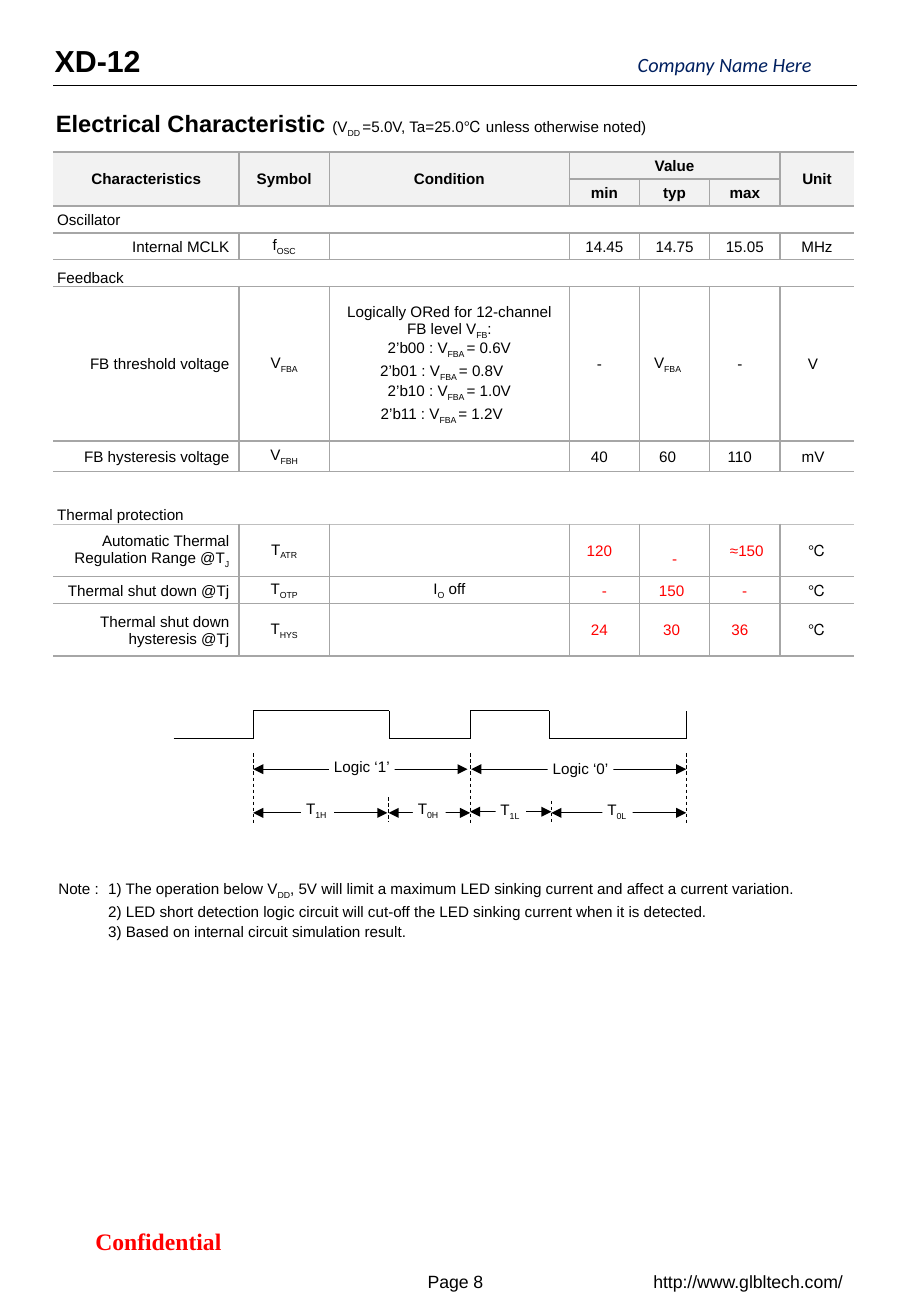
import itertools
from dataclasses import dataclass
from typing import Any

import pptx
import pptx.dml.color
import pptx.enum.dml
import pptx.enum.shapes
import pptx.enum.text
import pptx.oxml
import pptx.oxml.ns
import pptx.util

Pt = pptx.util.Pt
ALIGN = pptx.enum.text.PP_ALIGN
ANCHOR = pptx.enum.text.MSO_ANCHOR
FIT = pptx.enum.text.MSO_AUTO_SIZE
WIDTH, HEIGHT = pptx.util.Inches(7.5), pptx.util.Inches(10.83)
BLACK, RED, GREY, PALE = "000000", "FF0000", "A6A6A6", "BFBFBF"
NS = pptx.oxml.ns.nsdecls("a")


@dataclass
class Row:
    """One table row: height, label, symbol, condition, four values and their sideways shifts."""
    height: float
    label: str
    symbol: str = ""
    note: str = ""
    values: tuple[str, ...] = ("", "", "", "")
    shifts: tuple[float, ...] = (0, 0, 0, 0)
    color: str = BLACK


@dataclass
class Box:
    left: float
    top: float
    width: float
    height: float
    text: str
    size: float = 9
    color: str = BLACK
    face: str = "Arial"
    bold: bool = False
    italic: bool = False
    align: Any = ALIGN.LEFT
    anchor: Any = ANCHOR.TOP
    inset: tuple[float, ...] = (0.1, 0.05, 0.1, 0.05)
    wrap: bool = True
    fit: Any = FIT.SHAPE_TO_FIT_TEXT
    fill: str = ""


def col(share: float) -> int:
    """Percent of the slide's width."""
    return round(WIDTH * share / 100)


def row(share: float) -> int:
    """Percent of the slide's height."""
    return round(HEIGHT * share / 100)


def hue(code: str) -> pptx.dml.color.RGBColor:
    return pptx.dml.color.RGBColor.from_string(code)


def put(item: Any, style: dict[str, Any]) -> None:
    for name, value in style.items():
        setattr(item, name, value)


def pad(item: Any, inset: tuple[float, ...]) -> None:
    sides = ("left", "top", "right", "bottom")
    put(item, {f"margin_{s}": pptx.util.Inches(n) for s, n in zip(sides, inset)})


def write(para: Any, text: str, size: float = 9, color: str = BLACK, face: str = "Arial",
          bold: bool = False, italic: bool = False) -> None:
    """Add text to a paragraph; parts between tildes are subscripts."""
    for index, part in enumerate(text.split("~")):
        if part:
            run = para.add_run()
            run.text = part
            put(run.font, {"size": Pt(size), "name": face, "bold": bold, "italic": italic})
            run.font.color.rgb = hue(color)
            if index % 2:
                run._r.get_or_add_rPr().set("baseline", "-25000")


def fill_text(frame: Any, text: str, align: Any, **style: Any) -> None:
    for index, line in enumerate(text.split("\n")):
        para = frame.add_paragraph() if index else frame.paragraphs[0]
        para.alignment = align
        write(para, line, **style)


def draw_box(slide: Any, box: Box) -> Any:
    area = col(box.left), row(box.top), col(box.width), row(box.height)
    if box.fill:
        shape = slide.shapes.add_shape(pptx.enum.shapes.MSO_SHAPE.RECTANGLE, *area)
        shape.shadow.inherit = False
        shape.fill.solid()
        shape.fill.fore_color.rgb = hue(box.fill)
        shape.line.fill.background()
    else:
        shape = slide.shapes.add_textbox(*area)
    frame = shape.text_frame
    put(frame, {"word_wrap": box.wrap, "auto_size": box.fit, "vertical_anchor": box.anchor})
    pad(frame, box.inset)
    fill_text(frame, box.text, box.align, size=box.size, color=box.color, face=box.face,
              bold=box.bold, italic=box.italic)
    return shape


def draw_line(slide: Any, start: tuple[float, float], end: tuple[float, float],
              dashed: bool = False, heads: bool = False) -> None:
    line = slide.shapes.add_connector(pptx.enum.shapes.MSO_CONNECTOR.STRAIGHT,
                                      col(start[0]), row(start[1]), col(end[0]), row(end[1]))
    line.line.color.rgb = hue(BLACK)
    line.line.width = Pt(0.5)
    if dashed:
        line.line.dash_style = pptx.enum.dml.MSO_LINE.DASH
    if heads:
        for tag in ("headEnd", "tailEnd"):
            line.line._get_or_add_ln().append(pptx.oxml.parse_xml(f'<a:{tag} {NS} type="triangle"/>'))
    line._element.spPr.append(pptx.oxml.parse_xml(f"<a:effectLst {NS}/>"))


def edge(cell: Any, colors: dict[str, str]) -> None:
    """Set cell borders by side; an empty colour hides the side."""
    props = cell._tc.get_or_add_tcPr()
    for index, (side, color) in enumerate(colors.items()):
        paint = f'<a:solidFill><a:srgbClr val="{color}"/></a:solidFill>' if color else "<a:noFill/>"
        props.insert(index, pptx.oxml.parse_xml(f'<a:ln{side} {NS} w="12700">{paint}</a:ln{side}>'))


LOGIC = ("Logically ORed for 12-channel\nFB level V~FB~:\n2’b00 : V~FBA ~= 0.6V\n"
         "2’b01 : V~FBA ~= 0.8V　\n2’b10 : V~FBA ~= 1.0V\n2’b11 : V~FBA ~= 1.2V　")
ONE, TWO = 2.05, 3.99
COLS = (20.36, 9.93, 26.34, 7.71, 7.71, 7.71, 8.15)
BANDS, SPANS, PALEROW = (2, 4, 7), (4, 7), 7
ROWS = [
    Row(ONE, "Characteristics", "Symbol", "Condition", ("Value", "", "", "Unit")),
    Row(ONE, "", values=("min", "typ", "max", "")),
    Row(ONE, "Oscillator"),
    Row(ONE, "Internal MCLK", "f~OSC~", "", ("14.45", "14.75", "15.05", "MHz")),
    Row(ONE, "Feedback"),
    Row(11.72, "FB threshold voltage", "V~FBA~", LOGIC, ("-", "V~FBA~", "-", "V"),
        (-0.55, -0.77, -0.55, -0.44)),
    Row(2.35, "FB hysteresis voltage", "V~FBH~", "", ("40", "60", "110", "mV"),
        (-0.55, -0.77, -0.55, -0.44)),
    Row(TWO, "Thermal protection"),
    Row(TWO, "Automatic Thermal\nRegulation Range @T~J~", "T~ATR~", "", ("120", "-", "≈150", "℃"),
        (-0.55, 0, 0.22, 0), RED),
    Row(ONE, "Thermal shut down @Tj", "T~OTP~", "I~O~ off", ("-", "150", "-", "℃"),
        (0, -0.33, 0, 0), RED),
    Row(TWO, "Thermal shut down\nhysteresis @Tj", "T~HYS~", "", ("24", "30", "36", "℃"),
        (-0.55, -0.33, -0.55, 0), RED),
]


def draw_table(slide: Any) -> None:
    table = slide.shapes.add_table(len(ROWS), len(COLS), col(5.87), row(11.55), col(sum(COLS)),
                                   row(sum(r.height for r in ROWS))).table
    put(table, {"first_row": False, "horz_banding": False})
    for item, share in zip(table.columns, COLS):
        item.width = col(share)
    for y, line in enumerate(ROWS):
        table.rows[y].height = row(line.height)
        texts = (line.label, line.symbol, line.note, *line.values)
        for x, (text, shift) in enumerate(zip(texts, (0, 0, 0, *line.shifts))):
            cell, head = table.cell(y, x), y < 2
            side = not head and x == 0
            pad(cell, (0.03 if side else 0.01, 0.01, 0.08 if side else 0.01, 0))
            if shift:
                cell.margin_left, cell.margin_right = col(max(2 * shift, 0)), col(max(-2 * shift, 0))
            cell.vertical_anchor = ANCHOR.BOTTOM if y in SPANS else ANCHOR.MIDDLE
            if head:
                cell.fill.solid()
                cell.fill.fore_color.rgb = hue("F2F2F2")
            else:
                cell.fill.background()
            align = ALIGN.CENTER if not side else ALIGN.LEFT if y in BANDS else ALIGN.RIGHT
            fill_text(cell.text_frame, text, align, bold=head,
                      color=line.color if 3 <= x < 6 else BLACK)
            if not text:
                cell.text_frame.paragraphs[0]._p.append(
                    pptx.oxml.parse_xml(f'<a:endParaRPr {NS} sz="900"/>'))
            inner = "" if y in BANDS else GREY
            edge(cell, {"L": inner if x else "", "R": inner if x < len(COLS) - 1 else "",
                        "T": PALE if y == PALEROW + 1 else GREY, "B": PALE if y == PALEROW else GREY})
    table.cell(8, 4).margin_top = row(1.3)
    for x in (0, 1, 2, 6):
        table.cell(0, x).merge(table.cell(1, x))
    table.cell(0, 3).merge(table.cell(0, 5))
    for y in SPANS:
        table.cell(y, 0).merge(table.cell(y, 6))


def draw_wave(slide: Any) -> None:
    start, rise, fall, mid, drop, end = 19.07, 27.8, 42.75, 51.6, 60.3, 75.33
    high, low = 54.02, 56.14
    path = [(start, low), (rise, low), (rise, high), (fall, high), (fall, low), (mid, low),
            (mid, high), (drop, high), (drop, low), (end, low), (end, high)]
    for one, two in itertools.pairwise(path):
        draw_line(slide, one, two)
    for x, top, foot in ((rise, 57.25, 62.7), (mid, 57.25, 62.7), (end, 57.25, 62.7),
                         (42.67, 60.57, 62.42), (60.53, 60.85, 62.6)):
        draw_line(slide, (x, top), (x, foot), dashed=True)
    for left, right, y in ((rise, 51.33, 58.45), (51.73, end, 58.45), (rise, 42.53, 61.77),
                           (42.67, mid, 61.77), (mid, 60.53, 61.68), (60.53, end, 61.77)):
        draw_line(slide, (right, y), (left, y), heads=True)
    for left, top, width, text in ((36.13, 57.16, 7.2, "Logic ‘1’"), (60.13, 57.34, 7.2, "Logic ‘0’"),
                                   (33.07, 60.48, 3.6, "T~1H~"), (45.33, 60.48, 3.6, "T~0H~"),
                                   (54.4, 60.57, 3.33, "T~1L~"), (66.13, 60.57, 3.33, "T~0L~")):
        draw_box(slide, Box(left, top, width, 2.12, text, anchor=ANCHOR.MIDDLE, wrap=False,
                            inset=(0.04,) * 4, fill="FFFFFF"))


def draw_notes(slide: Any) -> None:
    text = ("Note :\t1) The operation below V~DD~, 5V will limit a maximum LED sinking current and "
            "affect a current variation.\n2) LED short detection logic circuit will cut-off the LED "
            "sinking current when it is detected.\n3) Based on internal circuit simulation result.")
    notes = draw_box(slide, Box(5.87, 66.76, 88.13, 4.62, text, inset=(0, 0.01, 0, 0)))
    for index, para in enumerate(notes.text_frame.paragraphs):
        props = para._p.get_or_add_pPr()
        props.set("marL", str(col(6)))
        props.set("indent", str(0 if index else -col(5.47)))
        if index:
            para.space_before = Pt(1)


def main() -> None:
    deck = pptx.Presentation()
    put(deck, {"slide_width": WIDTH, "slide_height": HEIGHT})
    slide = deck.slides.add_slide(deck.slide_layouts[6])
    foot = {"align": ALIGN.CENTER, "anchor": ANCHOR.MIDDLE, "fit": FIT.NONE}
    for box in (
        Box(43.73, 95.84, 12.53, 3.14, "Page 8", 10.5, **foot),
        Box(69.6, 95.84, 25.07, 3.14, "http://www.glbltech.com/", 10.5, **foot),
        Box(4.53, 92.71, 25.73, 3.14, "Confidential", 14, RED, "Times New Roman", True, **foot),
        Box(70, 3.97, 21.33, 1.85, "Company Name Here", 12, "002060", "Calibri", italic=True,
            inset=(0,) * 4, wrap=False),
        Box(6, 2.77, 88.67, 3.69, "XD-12", 18, bold=True, inset=(0, 0.05, 0, 0.05)),
    ):
        draw_box(slide, box)
    draw_line(slide, (5.87, 6.46), (94.13, 6.46))
    title = draw_box(slide, Box(6.13, 7.85, 68.4, 3.14, "Electrical Characteristic ", 14, bold=True,
                                inset=(0, 0.05, 0.1, 0.05), wrap=False))
    write(title.text_frame.paragraphs[0], "(V~DD ~=5.0V, Ta=25.0℃ unless otherwise noted)")
    draw_table(slide)
    draw_notes(slide)
    draw_wave(slide)
    deck.save("out.pptx")


if __name__ == "__main__":
    main()
